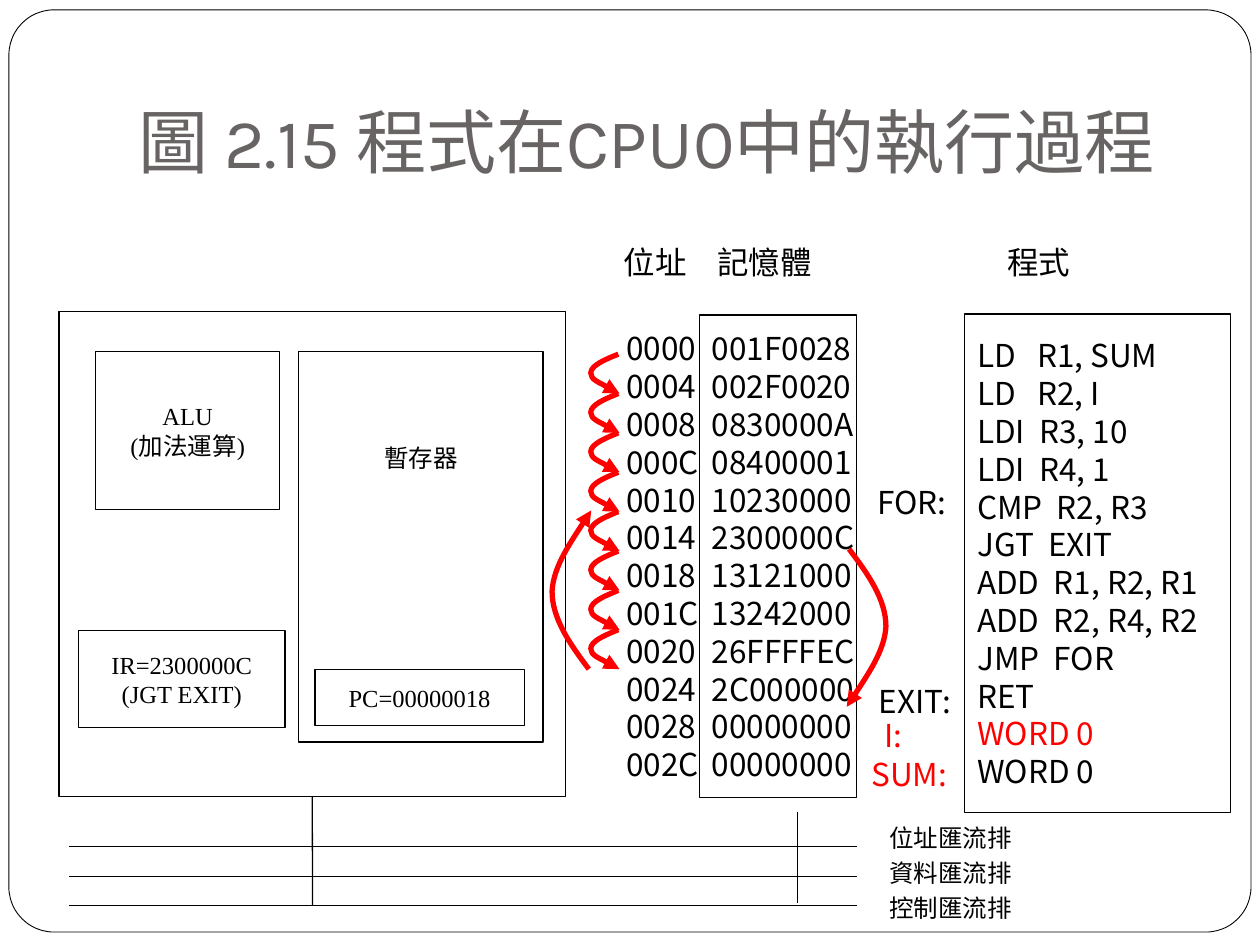
from dataclasses import dataclass

from lxml.etree import SubElement
from pptx import Presentation
from pptx.dml.color import RGBColor
from pptx.enum.shapes import MSO_CONNECTOR, MSO_SHAPE
from pptx.enum.text import MSO_ANCHOR, MSO_AUTO_SIZE, PP_ALIGN
from pptx.oxml.ns import qn
from pptx.util import Cm, Pt


@dataclass(frozen=True)
class Theme:
    ink: RGBColor = RGBColor(0, 0, 0)
    paper: RGBColor = RGBColor(255, 255, 255)
    accent: RGBColor = RGBColor(255, 0, 0)
    title_ink: RGBColor = RGBColor(0x69, 0x64, 0x64)
    title_size: int = 40
    code_size: int = 18
    note_size: int = 14
    title_font: str = "Karla"
    code_font: str = "Noto Sans CJK SC"
    head_font: str = "Arial"
    note_font: str = "Times New Roman"


T = Theme()
CODE = dict(font=T.code_font, size=T.code_size)
HEAD = dict(font=T.head_font, size=T.code_size)
NOTE = dict(font=T.note_font, size=T.note_size)

MEMORY = [
    ("0000", "001F0028"), ("0004", "002F0020"), ("0008", "0830000A"),
    ("000C", "08400001"), ("0010", "10230000"), ("0014", "2300000C"),
    ("0018", "13121000"), ("001C", "13242000"), ("0020", "26FFFFEC"),
    ("0024", "2C000000"), ("0028", "00000000"), ("002C", "00000000"),
]
PROGRAM = [
    "LD   R1, SUM", "LD   R2, I", "LDI  R3, 10", "LDI  R4, 1",
    "CMP  R2, R3", "JGT  EXIT", "ADD  R1, R2, R1", "ADD  R2, R4, R2",
    "JMP  FOR", "RET", "WORD 0", "WORD 0",
]
# Curves in a unit box: start, then control, control, end for each segment
STEP = [(.96, 0), (.48, .14), (0, .29), (0, .48), (0, .65), (1, 1), (1, 1)]
JUMP = [(.06, 0), (.55, .16), (1, .32), (1, .49), (.97, .65), (0, 1), (0, 1)]
JUMP_BACK = [(1 - x, 1 - y) for x, y in JUMP]


def write(tf, lines, font, size, color=T.ink, align=PP_ALIGN.LEFT,
          anchor=MSO_ANCHOR.MIDDLE, wrap=False, marked=()):
    """Fill a text frame; lines whose index is in marked take the accent."""
    tf.word_wrap = wrap
    tf.vertical_anchor = anchor
    for i, line in enumerate(lines):
        p = tf.paragraphs[0] if i == 0 else tf.add_paragraph()
        p.alignment = align
        r = p.add_run()
        r.text = line
        r.font.name, r.font.size = font, Pt(size)
        r.font.color.rgb = T.accent if i in marked else color


def rect(s, x, y, w, h, lines=(), kind=MSO_SHAPE.RECTANGLE, **fmt):
    sp = s.shapes.add_shape(kind, Cm(x), Cm(y), Cm(w), Cm(h))
    sp.shadow.inherit = False
    sp.fill.background()
    sp.line.color.rgb, sp.line.width = T.ink, Pt(.75)
    if lines:
        write(sp.text_frame, lines, **fmt)
    return sp


def label(s, x, y, w, h, text, **fmt):
    tf = s.shapes.add_textbox(Cm(x), Cm(y), Cm(w), Cm(h)).text_frame
    write(tf, [text], anchor=MSO_ANCHOR.TOP, **fmt)
    tf.auto_size = MSO_AUTO_SIZE.SHAPE_TO_FIT_TEXT


def line(s, x1, y1, x2, y2):
    c = s.shapes.add_connector(MSO_CONNECTOR.STRAIGHT, Cm(x1), Cm(y1), Cm(x2), Cm(y2))
    c.line.color.rgb, c.line.width = T.ink, Pt(.75)
    SubElement(c._element.spPr, qn("a:effectLst"))
    return c


def curved_arrow(s, x, y, w, h, curve):
    pts = [(Cm(x + w * u), Cm(y + h * v)) for u, v in curve]
    fb = s.shapes.build_freeform(*pts[0])
    fb.add_line_segments(pts[1:], close=False)
    sp = fb.convert_to_shape()
    path = sp._element.find(".//" + qn("a:path"))
    segments = path.findall(qn("a:lnTo"))
    for i in range(0, len(segments), 3):
        bezier = SubElement(path, qn("a:cubicBezTo"))
        for segment in segments[i:i + 3]:
            bezier.append(segment[0])
            path.remove(segment)
    sp.shadow.inherit = False
    sp.fill.background()
    sp.line.color.rgb, sp.line.width = T.accent, Pt(3)
    SubElement(sp.line._get_or_add_ln(), qn("a:tailEnd"), type="triangle")


def layout_frame(s, x, y, w, h):
    """Put the rounded page border on the slide's layout."""
    sp = rect(s, x, y, w, h, kind=MSO_SHAPE.ROUNDED_RECTANGLE)
    sp.adjustments[0] = .049
    sp.fill.solid()
    sp.fill.fore_color.rgb = T.paper
    sp.line.width = Pt(.5)
    s.slide_layout.shapes._spTree.insert(2, sp._element)


def title(s, x, y, w, h, text):
    sp = s.shapes.title
    sp.left, sp.top, sp.width, sp.height = Cm(x), Cm(y), Cm(w), Cm(h)
    tf = sp.text_frame
    write(tf, [text], T.title_font, T.title_size, T.title_ink,
          anchor=MSO_ANCHOR.BOTTOM, wrap=True)
    tf.auto_size = MSO_AUTO_SIZE.NONE
    tf.margin_bottom = Cm(.25)


def cpu(s, x, y, w, h):
    outline = rect(s, x, y, w, h)
    fmt = dict(NOTE, align=PP_ALIGN.CENTER)
    rect(s, x + .74, y + .81, 3.71, 3.18, ["ALU", "(加法運算)"], **fmt)
    registers = rect(s, x + 4.83, y + .81, 4.93, 7.87, ["暫存器"], **fmt)
    registers.text_frame.margin_bottom = Cm(3.7)
    rect(s, x + .39, y + 6.43, 4.17, 1.96, ["IR=2300000C", "(JGT EXIT)"], **fmt)
    rect(s, x + 5.16, y + 7.22, 4.22, 1.12, ["PC=00000018"], **fmt)
    return outline


def memory(s, x, y, w, h):
    addresses, words = zip(*MEMORY)
    top = 1.57
    label(s, x, y, 1.78, 1.02, "位址", **HEAD)
    label(s, x + 1.89, y, 2.41, 1.02, "記憶體", **HEAD)
    rect(s, x + 1.78, y + top, w - 1.78, h - top, words, **CODE)
    tb = s.shapes.add_textbox(Cm(x + .06), Cm(y + top), Cm(1.75), Cm(h - top))
    tb.text_frame.margin_right = 0
    write(tb.text_frame, addresses, **CODE)


def program(s, x, y, w, h):
    label(s, x + 2.74, y, 1.78, 1.02, "程式", **HEAD)
    rect(s, x + 2.13, y + 1.55, w - 2.13, h - 1.55, PROGRAM, marked=(10,), **CODE)
    for dx, dy, width, text, color in (
            (.12, 4.83, 1.96, "FOR:", T.ink), (.14, 8.85, 2.13, "EXIT:", T.ink),
            (.26, 9.52, .91, "I:", T.accent), (0, 10.31, 2.08, "SUM:", T.accent)):
        label(s, x + dx, y + dy, width, 1.02, text, color=color, **CODE)


def execution_flow(s, x, y, w, h):
    """Draw eight sequential steps with the loop and the exit jump."""
    steps = 8
    pitch = h / steps
    for i in range(steps):
        curved_arrow(s, x + .78, y + i * pitch, .58, pitch, STEP)
    curved_arrow(s, x, y + 3.15, .79, 3.2, JUMP_BACK)
    curved_arrow(s, x + w - .79, y + 3.93, .79, 3.18, JUMP)


def buses(s, x, y, w, h, cpu_box):
    for i, text in enumerate(("位址匯流排", "資料匯流排", "控制匯流排")):
        level = y + i * h / 2
        line(s, x, level, x + w, level)
        label(s, x + w + .41, y - .6 + i * .7, 3.2, .86, text, **NOTE)
    cpu_x = x + 4.9
    line(s, cpu_x, y - 1, cpu_x, y + h).begin_connect(cpu_box, 2)
    line(s, x + 14.68, y - .71, x + 14.68, y + h - .05)


def main():
    prs = Presentation()
    prs.slide_width, prs.slide_height = Cm(25.4), Cm(19.05)
    s = prs.slides.add_slide(prs.slide_layouts[5])
    layout_frame(s, .18, .2, 25.04, 18.59)
    title(s, 2.54, .75, 21.59, 3.18, "圖 2.15 程式在CPU0中的執行過程")
    cpu_box = cpu(s, 1.19, 6.28, 10.21, 9.78)
    memory(s, 12.32, 4.78, 4.95, 11.3)
    program(s, 17.32, 4.78, 7.49, 11.6)
    execution_flow(s, 11.13, 7.14, 6.73, 6.35)
    buses(s, 1.4, 17.07, 15.87, 1.19, cpu_box)
    prs.save("out.pptx")


if __name__ == "__main__":
    main()
